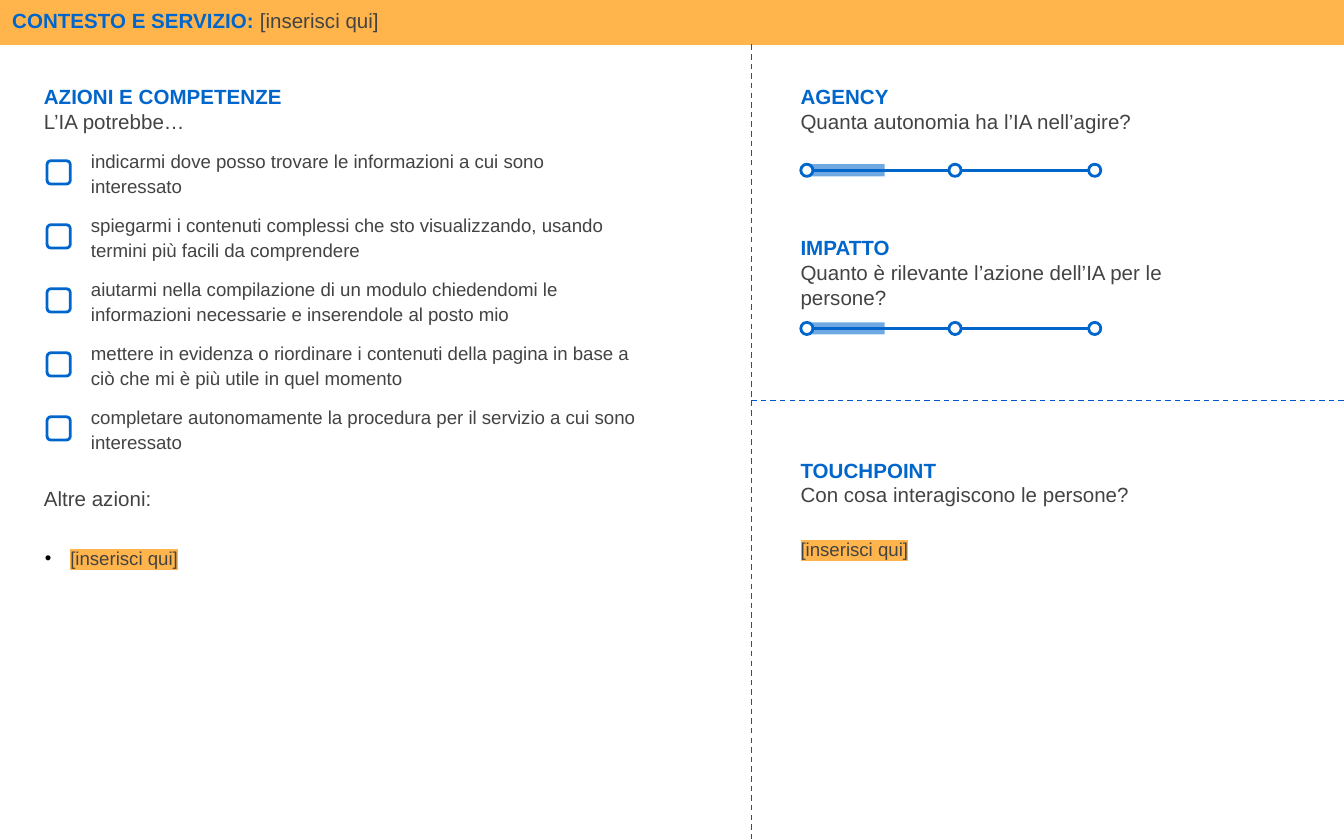
from lxml import etree
from pptx import Presentation
from pptx import util as u
from pptx.dml.color import RGBColor
from pptx.enum import dml, shapes, text
from pptx.oxml.ns import qn

BLUE, DASH_BLUE, ORANGE, GREY, WHITE = "0066CC", "0056CB", "FFB54C", "434343", "FFFFFF"
WIDTH, HEIGHT = 25.4, 15.88
BAR_HEIGHT, DIVIDER_X, DIVIDER_Y = 0.84, 14.2, 7.57
ROW_PITCH = 1.21
ACTIONS = [
    "indicarmi dove posso trovare le informazioni a cui sono interessato",
    "spiegarmi i contenuti complessi che sto visualizzando, usando termini più facili da comprendere",
    "aiutarmi nella compilazione di un modulo chiedendomi le informazioni necessarie e inserendole al posto mio",
    "mettere in evidenza o riordinare i contenuti della pagina in base a ciò che mi è più utile in quel momento",
    "completare autonomamente la procedura per il servizio a cui sono interessato",
]
PLACEHOLDER = "[inserisci qui]"


def color(value):
    return RGBColor.from_string(value)


def cm(*lengths):
    return [u.Cm(length) for length in lengths]


def format_run(run, size, value, bold=False, highlight=None):
    font = run.font
    font.name, font.size, font.bold = "Arial", u.Pt(size), bold
    font.color.rgb = color(value)
    if highlight:
        mark = etree.Element(qn("a:highlight"))
        etree.SubElement(mark, qn("a:srgbClr"), val=highlight)
        font._element.find(qn("a:solidFill")).addnext(mark)


def set_up_frame(frame, anchor):
    frame.word_wrap = True
    frame.auto_size = text.MSO_AUTO_SIZE.NONE
    frame.vertical_anchor = anchor
    frame.margin_left = frame.margin_right = u.Cm(0.25)
    frame.margin_top = frame.margin_bottom = u.Cm(0.25)


def add_text(slide, box, content, size=10, spacing=1.15, anchor=text.MSO_ANCHOR.TOP, highlight=None):
    frame = slide.shapes.add_textbox(*cm(*box)).text_frame
    set_up_frame(frame, anchor)
    frame.text = content
    for paragraph in frame.paragraphs:
        paragraph.line_spacing = spacing
        format_run(paragraph.runs[0], size, GREY, highlight=highlight)
    return frame


def add_heading(slide, left, top, width, heading, subtitle):
    frame = add_text(slide, (left, top, width, 0.86), f"{heading}\n{subtitle}",
                     11, 1.0, text.MSO_ANCHOR.MIDDLE)
    format_run(frame.paragraphs[0].runs[0], 11, BLUE, bold=True)


def add_shape(slide, kind, box, fill=None, line=None):
    shape = slide.shapes.add_shape(kind, *cm(*box))
    shape.shadow.inherit = False
    if fill:
        shape.fill.solid()
        shape.fill.fore_color.rgb = color(fill)
    else:
        shape.fill.background()
    if line:
        shape.line.color.rgb = color(line)
        shape.line.width = u.Pt(1.5)
    else:
        shape.line.fill.background()
    return shape


def add_line(slide, start, end, value, width, dash=None):
    line = slide.shapes.add_connector(shapes.MSO_CONNECTOR.STRAIGHT, *cm(*start, *end))
    line.line.color.rgb = color(value)
    line.line.width = u.Pt(width)
    if dash:
        line.line.dash_style = dash
    etree.SubElement(line._element.spPr, qn("a:effectLst"))


def add_title_bar(slide, left, top, width, height):
    title = slide.shapes.title
    title.left, title.top, title.width, title.height = cm(left, top, width, height)
    title.fill.solid()
    title.fill.fore_color.rgb = color(ORANGE)
    title.line.color.rgb = color(ORANGE)
    title.line.width = u.Pt(0.75)
    set_up_frame(title.text_frame, text.MSO_ANCHOR.MIDDLE)
    paragraph = title.text_frame.paragraphs[0]
    paragraph.alignment = text.PP_ALIGN.LEFT
    paragraph.text = "CONTESTO E SERVIZIO:"
    format_run(paragraph.runs[0], 11, BLUE, bold=True)
    run = paragraph.add_run()
    run.text = f" {PLACEHOLDER}"
    format_run(run, 11, GREY, highlight=ORANGE)


def add_dividers(slide):
    dash = dml.MSO_LINE.DASH
    add_line(slide, (DIVIDER_X, BAR_HEIGHT), (DIVIDER_X, HEIGHT), DASH_BLUE, 0.75, dash)
    add_line(slide, (WIDTH, DIVIDER_Y), (DIVIDER_X, DIVIDER_Y), DASH_BLUE, 0.75, dash)


def add_actions_panel(slide, left, top, width):
    add_heading(slide, left, top, 6.81, "AZIONI E COMPETENZE", "L’IA potrebbe…")
    for index, action in enumerate(ACTIONS):
        row_top = top + 1.19 + index * ROW_PITCH
        add_text(slide, (left + 0.89, row_top, width, 0.86), action, anchor=text.MSO_ANCHOR.MIDDLE)
        add_shape(slide, shapes.MSO_SHAPE.ROUNDED_RECTANGLE,
                  (left + 0.31, row_top + 0.22, 0.44, 0.44), line=BLUE)
    add_text(slide, (left, top + 7.31, 7.04, 0.86), "Altre azioni:", 11, 1.0)
    frame = add_text(slide, (left + 0.02, top + 8.4, width, 2.9), PLACEHOLDER, highlight=ORANGE)
    add_bullet(frame.paragraphs[0])


def add_bullet(paragraph):
    properties = paragraph._p.get_or_add_pPr()
    indent = u.Cm(0.48)
    properties.set("marL", str(indent))
    properties.set("indent", str(-indent))
    bullet_color = etree.SubElement(properties, qn("a:buClr"))
    etree.SubElement(bullet_color, qn("a:srgbClr"), val="000000")
    etree.SubElement(properties, qn("a:buFont"), typeface="Arial")
    etree.SubElement(properties, qn("a:buChar"), char="•")


def add_scale(slide, left, middle):
    """Three-stop scale whose first stop is centred at the given point."""
    stops, size = (0, 2.8, 5.44), 0.23
    top = middle - size / 2
    add_line(slide, (left, middle), (left + stops[-1], middle), BLUE, 1.5)
    level = add_shape(slide, shapes.MSO_SHAPE.RECTANGLE, (left, top, 1.47, size), fill=BLUE)
    fill_color = level._element.spPr.find(qn("a:solidFill"))[0]
    etree.SubElement(fill_color, qn("a:alpha"), val="56000")
    for stop in stops:
        add_shape(slide, shapes.MSO_SHAPE.OVAL, (left + stop - size / 2, top, size, size), WHITE, BLUE)


def add_rating_panel(slide, left, top, width, heading, question, scale_offset):
    add_heading(slide, left, top, width, heading, question)
    add_scale(slide, left + 0.37, top + scale_offset)


def add_touchpoint_panel(slide, left, top, width):
    add_heading(slide, left, top, width, "TOUCHPOINT", "Con cosa interagiscono le persone?")
    add_text(slide, (left, top + 1.17, width, 4.11), PLACEHOLDER, highlight=ORANGE)


def main():
    presentation = Presentation()
    presentation.slide_width, presentation.slide_height = cm(WIDTH, HEIGHT)
    slide = presentation.slides.add_slide(presentation.slide_layouts.get_by_name("Title Only"))
    add_title_bar(slide, -0.02, -0.07, WIDTH + 0.02, BAR_HEIGHT + 0.07)
    add_dividers(slide)
    add_actions_panel(slide, 0.58, 1.63, 10.82)
    right = 14.88
    add_rating_panel(slide, right, 1.63, 8.61, "AGENCY", "Quanta autonomia ha l’IA nell’agire?", 1.59)
    add_rating_panel(slide, right, 4.72, 8.61, "IMPATTO",
                     "Quanto è rilevante l’azione dell’IA per le persone?", 1.49)
    add_touchpoint_panel(slide, right, 8.69, 8.61)
    presentation.save("out.pptx")


if __name__ == "__main__":
    main()
